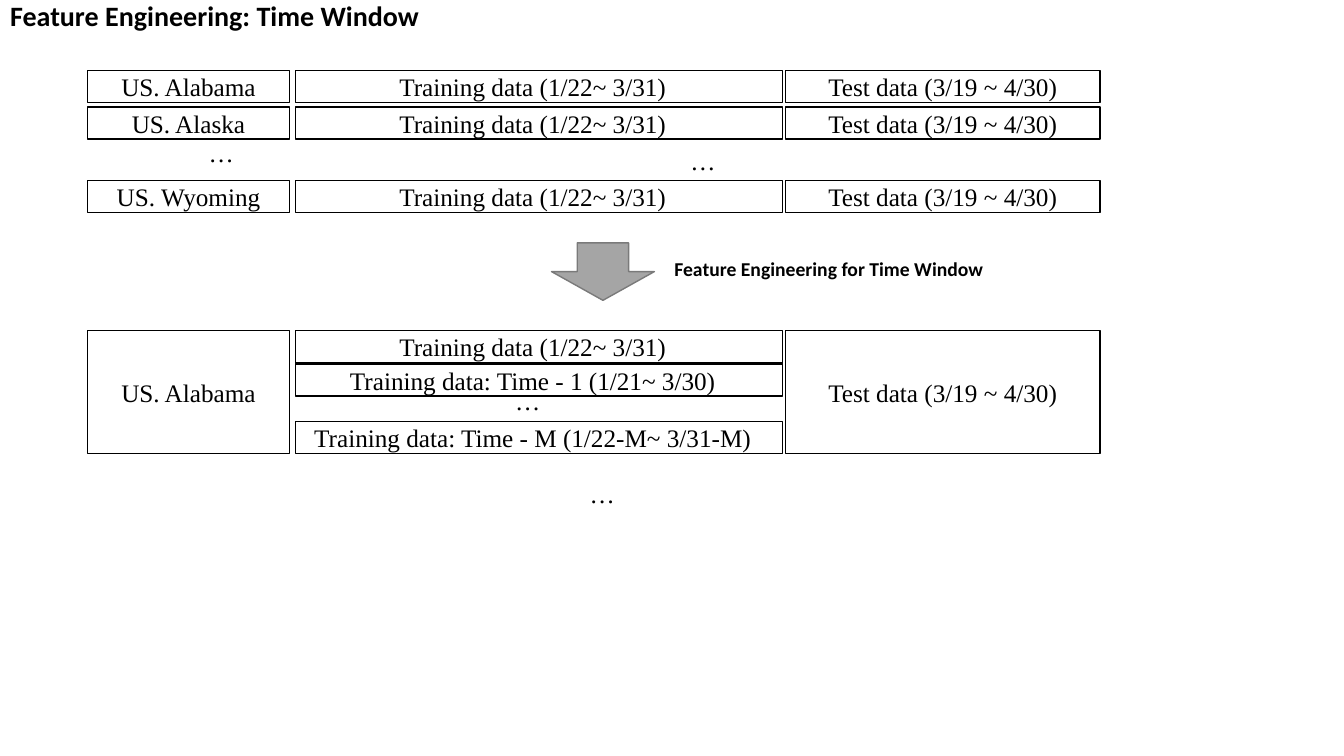
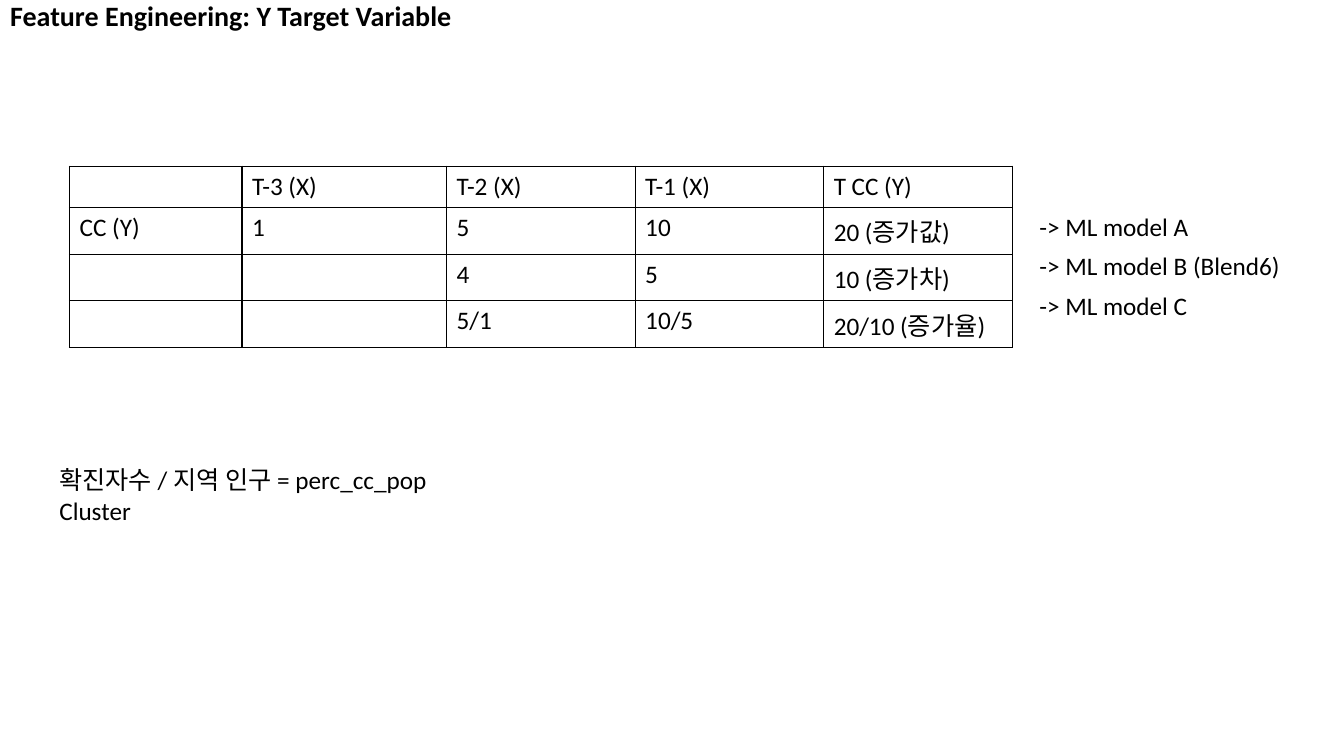
from dataclasses import dataclass

from lxml import etree
from pptx import Presentation
from pptx.dml.color import RGBColor
from pptx.enum.shapes import MSO_SHAPE
from pptx.enum.text import MSO_ANCHOR, MSO_AUTO_SIZE, PP_ALIGN
from pptx.oxml.ns import qn
from pptx.util import Pt

PX = 9144  # 100 px to the inch
BLACK = RGBColor(0x00, 0x00, 0x00)
WHITE = RGBColor(0xFF, 0xFF, 0xFF)
GRAY = RGBColor(0xA5, 0xA5, 0xA5)
EDGE = RGBColor(0x7A, 0x7A, 0x7A)
SANS = "Calibri"
SERIF = "Times New Roman"
RECT, ARROW = MSO_SHAPE.RECTANGLE, MSO_SHAPE.DOWN_ARROW
LEFT, CENTER = PP_ALIGN.LEFT, PP_ALIGN.CENTER
MIDDLE = MSO_ANCHOR.MIDDLE
FIXED, GROW = MSO_AUTO_SIZE.NONE, MSO_AUTO_SIZE.SHAPE_TO_FIT_TEXT

WIDE, HIGH = 1333, 750
BAR = 32  # height of one data bar
INSET = 10
TRAIN = "Training data (1/22~ 3/31)"
TEST = "Test data (3/19 ~ 4/30)"


@dataclass(frozen=True)
class Col:
    x: int
    w: int
    pad: int = INSET


@dataclass(frozen=True)
class Note:
    text: str
    x: int
    y: int
    w: int = 45
    h: int = 40
    font: str = SERIF
    size: int = 18
    bold: bool = False
    wrap: bool = False


STATE, DATA, HOLD = Col(87, 200), Col(293, 483, pad=22), Col(779, 312)

STATES = {70: "US. Alabama", 106: "US. Alaska", 179: "US. Wyoming"}
SHIFTS = {
    328: TRAIN,
    361: "Training data: Time - 1 (1/21~ 3/30)",
    418: "Training data: Time - M (1/22-M~ 3/31-M)",
}
WINDOW_NOTES = [
    Note("…", 675, 139),
    Note("…", 197, 131),
    Note("…", 501, 377),
    Note("…", 575, 470),
    Note("Feature Engineering for Time Window", 659, 250, 328, 34, SANS, 14, True),
]

COLS = [171, 203, 187, 187, 187]
ROW = 41
CELLS = [
    ["", "T-3 (X)", "T-2 (X)", "T-1 (X)", "T CC (Y)"],
    ["CC (Y)", "1", "5", "10", "20 (증가값)"],
    ["", "", "4", "5", "10 (증가차)"],
    ["", "", "5/1", "10/5", "20/10 (증가율)"],
]
TARGET_NOTES = [
    Note("-> ML model A", 1021, 205, 170, font=SANS),
    Note("-> ML model B (Blend6)", 1021, 243, 262, font=SANS),
    Note("-> ML model C", 1021, 283, 169, font=SANS),
    Note("확진자수 / 지역 인구 = perc_cc_pop\nCluster", 49, 456, 405, 71,
         font=SANS, wrap=True),
]


def emu(*px: int) -> list[int]:
    return [n * PX for n in px]


def style(frame, font: str, size: int, bold: bool = False, align=LEFT) -> None:
    for para in frame.paragraphs:
        para.alignment = align
        face = para.font
        face.name, face.size, face.bold = font, Pt(size), bold
        face.color.rgb = BLACK


def add_slide(deck, title: str):
    slide = deck.slides.add_slide(deck.slide_layouts[5])
    head = slide.shapes.title
    head.left, head.top, head.width, head.height = emu(0, 0, WIDE, 35)
    frame = head.text_frame
    frame.text = title
    frame.auto_size, frame.vertical_anchor = FIXED, MIDDLE
    style(frame, SANS, 20, bold=True)
    frame.paragraphs[0].line_spacing = 0.9
    return slide


def add_form(slide, kind, x: int, y: int, w: int, h: int,
             fill: RGBColor, line: RGBColor):
    form = slide.shapes.add_shape(kind, *emu(x, y, w, h))
    form.shadow.inherit = False
    form.fill.solid()
    form.fill.fore_color.rgb = fill
    form.line.color.rgb = line
    form.line.width = Pt(1)
    return form


def add_bar(slide, col: Col, y: int, text: str, h: int = BAR) -> None:
    frame = add_form(slide, RECT, col.x, y, col.w, h, WHITE, BLACK).text_frame
    frame.text = text
    frame.word_wrap, frame.vertical_anchor = True, MIDDLE
    frame.margin_right = col.pad * PX
    style(frame, SERIF, 18, align=CENTER)


def add_note(slide, note: Note) -> None:
    box = slide.shapes.add_textbox(*emu(note.x, note.y, note.w, note.h))
    frame = box.text_frame
    frame.text = note.text
    frame.word_wrap, frame.auto_size = note.wrap, GROW
    style(frame, note.font, note.size, note.bold)


def set_edges(cell) -> None:
    """Draw a thin black line on all four sides of a cell."""
    props = cell._tc.get_or_add_tcPr()
    for side in ("lnL", "lnR", "lnT", "lnB"):
        line = etree.SubElement(props, qn(f"a:{side}"), w=str(Pt(1)))
        fill = etree.SubElement(line, qn("a:solidFill"))
        etree.SubElement(fill, qn("a:srgbClr"), val=str(BLACK))


def add_grid(slide, x: int, y: int) -> None:
    size = emu(x, y, sum(COLS), ROW * len(CELLS))
    table = slide.shapes.add_table(len(CELLS), len(COLS), *size).table
    table.first_row = table.horz_banding = False
    for col, wide in zip(table.columns, COLS):
        col.width = wide * PX
    for row, texts in zip(table.rows, CELLS):
        for cell, text in zip(row.cells, texts):
            cell.text = text
            set_edges(cell)
            cell.fill.background()
            style(cell.text_frame, SANS, 18)


def draw_window(deck) -> None:
    slide = add_slide(deck, "Feature Engineering: Time Window")
    for y, state in STATES.items():
        for col, text in ((STATE, state), (DATA, TRAIN), (HOLD, TEST)):
            add_bar(slide, col, y, text)
    add_form(slide, ARROW, 547, 241, 102, 57, GRAY, EDGE)
    top, last = min(SHIFTS), max(SHIFTS)
    for col, text in ((STATE, STATES[70]), (HOLD, TEST)):
        add_bar(slide, col, top, text, last + BAR - top)
    for y, text in SHIFTS.items():
        add_bar(slide, DATA, y, text)
    for note in WINDOW_NOTES:
        add_note(slide, note)


def draw_target(deck) -> None:
    slide = add_slide(deck, "Feature Engineering: Y Target Variable")
    add_grid(slide, 69, 165)
    for note in TARGET_NOTES:
        add_note(slide, note)


def main() -> None:
    deck = Presentation()
    deck.slide_width, deck.slide_height = emu(WIDE, HIGH)
    draw_window(deck)
    draw_target(deck)
    deck.save("out.pptx")


if __name__ == "__main__":
    main()
